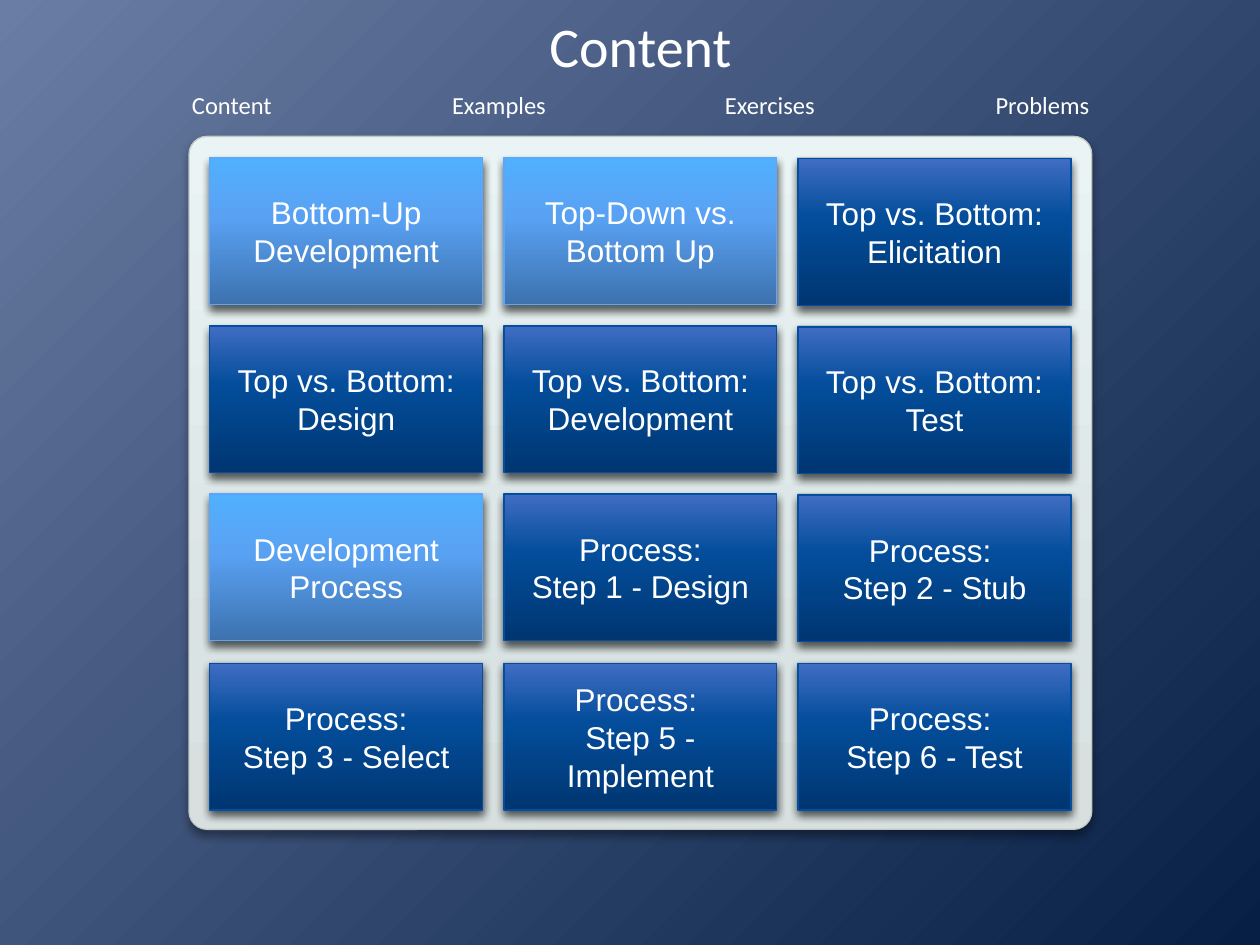
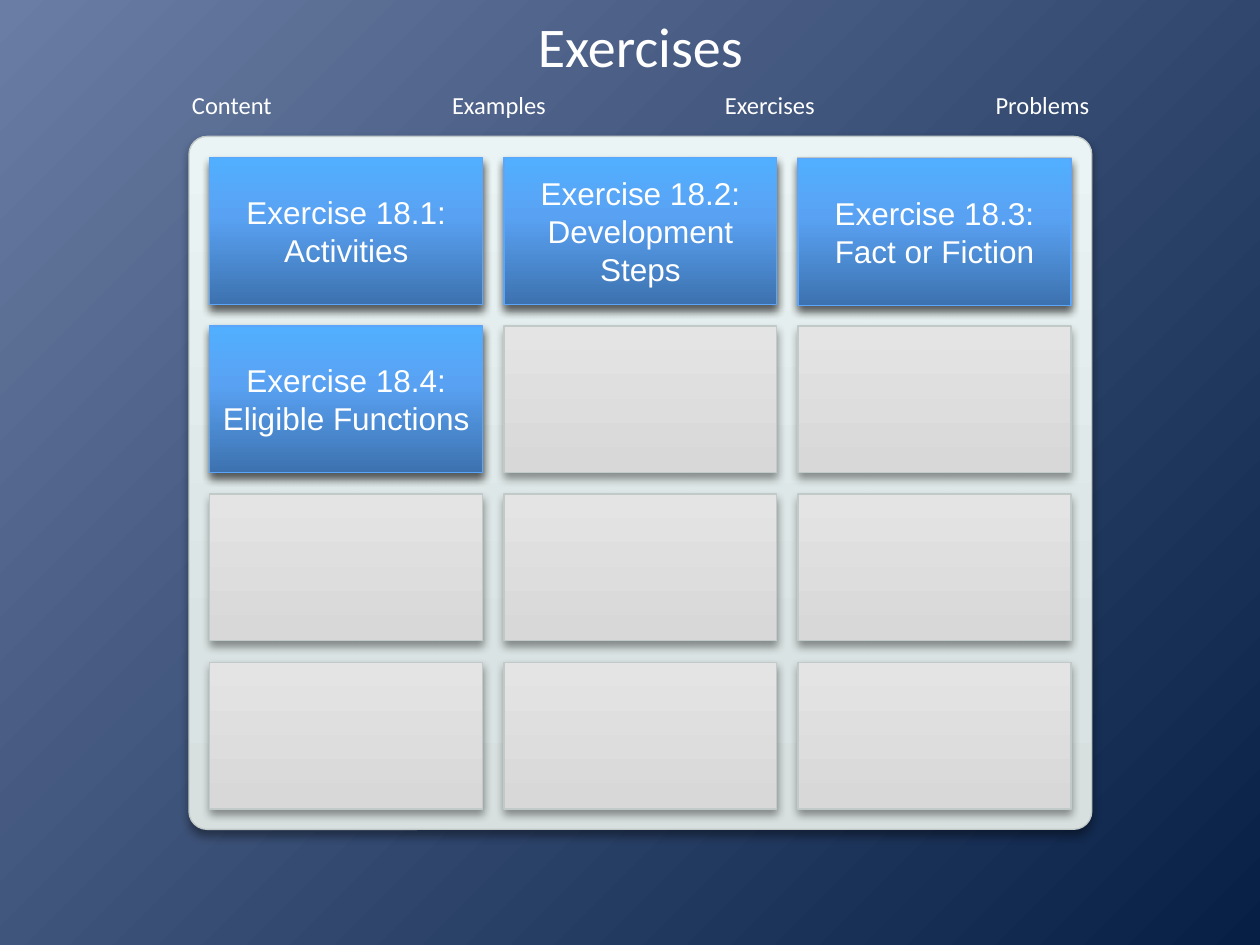
"""Builds two board slides: a content grid and an exercise grid."""
from pptx import Presentation
from pptx.dml.color import RGBColor
from pptx.enum.shapes import MSO_SHAPE as Form
from pptx.enum.text import MSO_ANCHOR as Anchor, MSO_AUTO_SIZE as Fit, PP_ALIGN as Align
from pptx.oxml import parse_xml
from pptx.oxml.ns import nsdecls, qn
from pptx.util import Cm, Pt

NS = nsdecls("a")
DOWN = '<a:lin ang="16200000" scaled="0"/>'
ROUND = '<a:path path="circle"><a:fillToRect r="100000" b="100000"/></a:path>'
SHADE = (f'<a:outerShdw {NS} blurRad="66040" dist="38100" dir="5400000" algn="t" rotWithShape="0">'
         '<a:srgbClr val="000000"><a:alpha val="40000"/></a:srgbClr></a:outerShdw>')

BACK = {"stops": {0: "6A7DA4", 100: "071F45"}, "way": ROUND}
PANEL = {"stops": {0: "D7DFDF", 25: "DAE3E3", 100: "EBF4F4"}, "way": DOWN, "edge": "C1C9C9"}
BLANK = {"stops": {0: "D8D8D8", 1: "D8D8D8", 100: "E4E4E4"}, "way": DOWN, "edge": "C1C9C9"}
LIGHT = {"stops": {0: "3D72AF", 60: "59A2F3", 100: "52AFFF"}, "way": DOWN, "edge": "5BA6FA"}
DARK = {"stops": {0: "003671", 60: "034D9B", 100: "406DC3"}, "way": DOWN, "edge": "034EA0"}

TITLE = {"vertical_anchor": Anchor.MIDDLE, "auto_size": Fit.NONE, "word_wrap": True,
         "margin_left": 0, "margin_top": 0, "margin_right": 0, "margin_bottom": 0}
TAB = {"word_wrap": False, "auto_size": Fit.SHAPE_TO_FIT_TEXT}
TILE = {"vertical_anchor": Anchor.MIDDLE, "word_wrap": True}

COLS, ROWS = 3, 4
LEFT, TOP = 4.23, 3.18
WIDE, HIGH = 5.5, 2.96
STEP_X, STEP_Y = 5.93, 3.39
NUDGE = 0.02

TABS = [("Content", 3.61, 2.13), ("Examples", 8.84, 2.44),
        ("Exercises", 14.35, 2.34), ("Problems", 19.81, 2.41)]

BOARDS = {
    "Content": [
        (LIGHT, "Bottom-Up Development"),
        (LIGHT, "Top-Down vs. Bottom Up"),
        (DARK, "Top vs. Bottom:\nElicitation"),
        (DARK, "Top vs. Bottom:\nDesign"),
        (DARK, "Top vs. Bottom:\nDevelopment"),
        (DARK, "Top vs. Bottom:\nTest"),
        (LIGHT, "Development Process"),
        (DARK, "Process:\nStep 1 - Design"),
        (DARK, "Process: \vStep 2 - Stub"),
        (DARK, "Process:\nStep 3 - Select"),
        (DARK, "Process: \vStep 5 - Implement"),
        (DARK, "Process: \vStep 6 - Test"),
    ],
    "Exercises": [
        (LIGHT, "Exercise 18.1:\vActivities"),
        (LIGHT, "Exercise 18.2:\vDevelopment Steps"),
        (LIGHT, "Exercise 18.3:\vFact or Fiction"),
        (LIGHT, "Exercise 18.4:\vEligible Functions"),
    ],
}


def paint(item, fill, look):
    fill.gradient()
    stops = "".join(f'<a:gs pos="{spot * 1000}"><a:srgbClr val="{tint}"/></a:gs>'
                    for spot, tint in look["stops"].items())
    old = next(item.element.iter(qn("a:gradFill")))
    old.getparent().replace(old, parse_xml(
        f'<a:gradFill {NS} rotWithShape="1"><a:gsLst>{stops}</a:gsLst>{look["way"]}</a:gradFill>'))
    if "edge" in look:
        item.line.color.rgb = RGBColor.from_string(look["edge"])
        item.line.width = Pt(0.75)
        item.shadow.inherit = False
        next(item.element.iter(qn("a:effectLst"))).append(parse_xml(SHADE))


def write(shape, text, size, face, look):
    frame = shape.text_frame
    frame.text = text
    for name, value in look.items():
        setattr(frame, name, value)
    for para in frame.paragraphs:
        para.alignment = Align.CENTER
        for run in para.runs:
            run.font.size = Pt(size)
            run.font.name = face
            run.font.color.rgb = RGBColor.from_string("FFFFFF")


deck = Presentation()
deck.slide_width, deck.slide_height = Cm(25.4), Cm(19.05)
base = deck.slide_layouts.get_by_name("Title Only")
paint(base, base.background.fill, BACK)
for hold in list(base.placeholders):
    if hold.placeholder_format.idx:
        base.shapes.element.remove(hold.element)
    else:
        hold.left, hold.top, hold.width, hold.height = Cm(3.81), Cm(0.28), Cm(18.2), Cm(1.27)

slides = [deck.slides.add_slide(base) for title in BOARDS]
spots = [(LEFT + col * STEP_X, TOP + row * STEP_Y) for row in range(ROWS) for col in range(COLS)]

draw = slides[0].shapes
panel = draw.add_shape(Form.ROUNDED_RECTANGLE, Cm(3.81), Cm(2.75), Cm(18.2), Cm(13.97))
panel.adjustments[0] = 0.026
paint(panel, panel.fill, PANEL)
frame = [panel]
for x, y in spots:
    cell = draw.add_shape(Form.RECTANGLE, Cm(x), Cm(y), Cm(WIDE), Cm(HIGH))
    paint(cell, cell.fill, BLANK)
    frame.append(cell)
for text, x, wide in TABS:
    tab = draw.add_textbox(Cm(x), Cm(1.7), Cm(wide), Cm(0.86))
    write(tab, text, 14, "Calibri", TAB)
    frame.append(tab)
for part in frame:
    base.shapes.element.append(part.element)

for slide, (title, tiles) in zip(slides, BOARDS.items()):
    write(slide.shapes.title, title, 32, "Calibri", TITLE)
    for num, ((x, y), (look, text)) in enumerate(zip(spots, tiles)):
        drop = NUDGE if num % COLS == COLS - 1 or num >= COLS * (ROWS - 1) else 0
        tile = slide.shapes.add_shape(Form.RECTANGLE, Cm(x), Cm(y + drop), Cm(WIDE), Cm(HIGH))
        paint(tile, tile.fill, look)
        write(tile, text, 18, "Arial", TILE)

deck.save("out.pptx")
